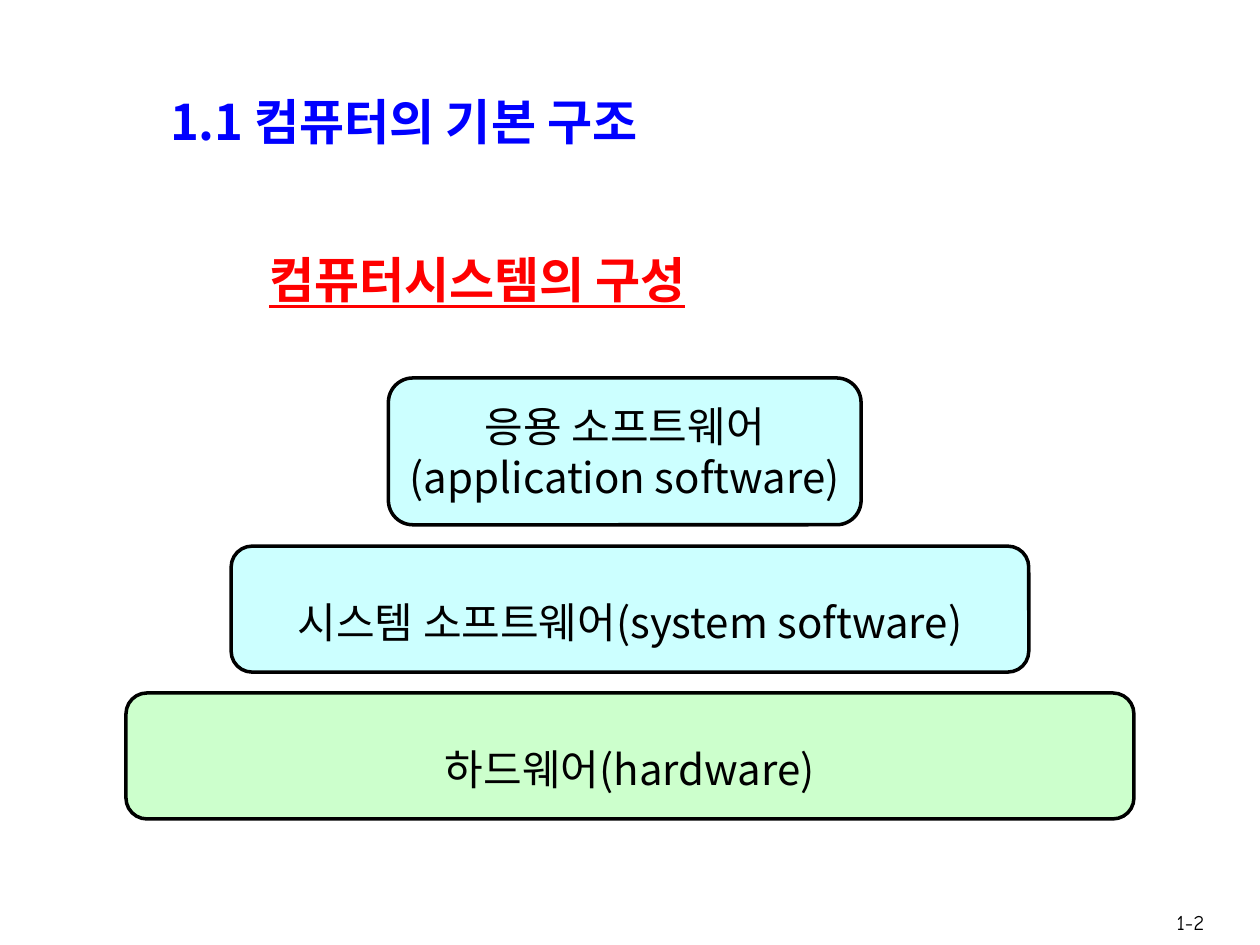
import pptx
import pptx.util
import pptx.dml.color
import pptx.enum.shapes
import pptx.enum.text
import pptx.oxml
import pptx.oxml.ns

Cm = pptx.util.Cm
Pt = pptx.util.Pt
Rgb = pptx.dml.color.RGBColor
Align = pptx.enum.text.PP_ALIGN
Mid = pptx.enum.text.MSO_ANCHOR.MIDDLE
Top = pptx.enum.text.MSO_ANCHOR.TOP

HUES = {"ink": "000000", "blue": "0000FF", "red": "FF0000",
        "green": "CCFFCC", "cyan": "CCFFFF"}
SANS = "Noto Sans CJK KR"
BODY = {"name": SANS, "size": Pt(24)}
HEAD = {"name": SANS, "size": Pt(28), "bold": True}
WIDE = {"line_spacing": 1.5, "space_before": Pt(6), "alignment": Align.CENTER}
SNUG = {"space_before": Pt(6), "alignment": Align.CENTER}

LABELS = [
    ("1.1 컴퓨터의 기본 구조", (3.18, 1.7, 21.16, 1.47), "blue", HEAD,
     {"alignment": Align.LEFT}, {"word_wrap": True, "vertical_anchor": Mid}),
    ("컴퓨터시스템의 구성", (5.18, 4.32, 8.94, 2.03), "red",
     {**HEAD, "underline": True}, {"line_spacing": 1.5, "space_before": Pt(7)},
     {"word_wrap": False, "vertical_anchor": Top}),
    ("1-2", (19.25, 18.21, 5.28, 0.64), "ink",
     {"name": "Comic Neue", "size": Pt(12)}, {"alignment": Align.RIGHT},
     {"word_wrap": True, "vertical_anchor": Top}),
]
LAYERS = [
    ("하드웨어(hardware)", (2.54, 13.97, 20.32, 2.54), "green", WIDE),
    ("시스템 소프트웨어(system software)", (4.66, 11.01, 16.08, 2.54), "cyan", WIDE),
    ("응용 소프트웨어\v(application software)", (7.83, 7.62, 9.53, 2.96), "cyan", SNUG),
]


def tint(name):
    return Rgb.from_string(HUES[name])


def apply(part, form):
    for key, val in form.items():
        setattr(part, key, val)


def write(shape, text, hue, font, para, frame):
    body = shape.text_frame
    apply(body, frame)
    line = body.paragraphs[0]
    line.text = text
    apply(line, para)
    for run in line.runs:
        apply(run.font, font)
        run.font.color.rgb = tint(hue)
        east = pptx.oxml.parse_xml(
            '<a:ea %s typeface="%s"/>' % (pptx.oxml.ns.nsdecls("a"), font["name"]))
        run.font._element.find(pptx.oxml.ns.qn("a:latin")).addnext(east)


deck = pptx.Presentation()
apply(deck, {"slide_width": Cm(25.4), "slide_height": Cm(19.05)})
slide = deck.slides.add_slide(deck.slide_layouts[6])

for text, box, hue, font, para, frame in LABELS:
    label = slide.shapes.add_textbox(*map(Cm, box))
    write(label, text, hue, font, para, frame)

for text, box, hue, para in LAYERS:
    layer = slide.shapes.add_shape(
        pptx.enum.shapes.MSO_SHAPE.ROUNDED_RECTANGLE, *map(Cm, box))
    layer.shadow.inherit = False
    layer.fill.solid()
    layer.fill.fore_color.rgb = tint(hue)
    layer.line.color.rgb = tint("ink")
    layer.line.width = Pt(2)
    write(layer, text, "ink", BODY, para,
          {"word_wrap": False, "vertical_anchor": Mid})

deck.save("out.pptx")
